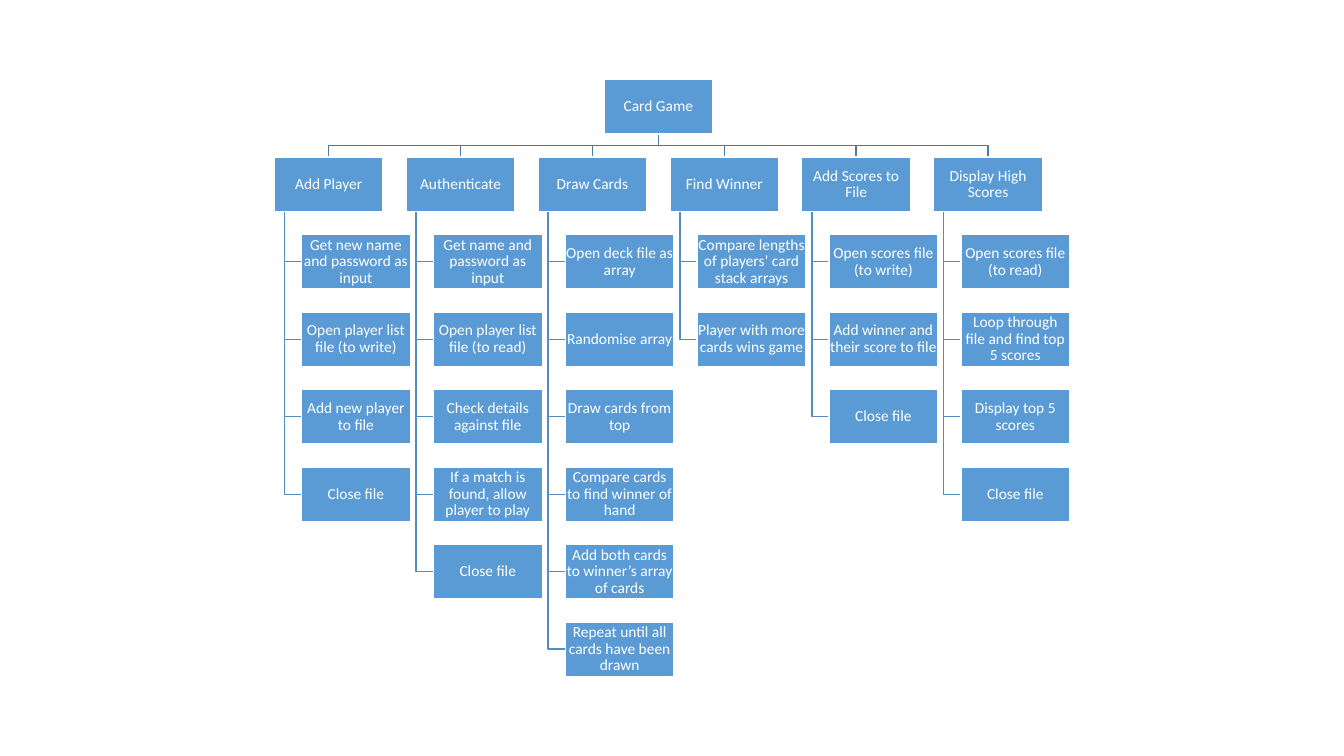
from pptx import Presentation
from pptx.dml.color import RGBColor
from pptx.enum.shapes import MSO_SHAPE
from pptx.enum.text import MSO_ANCHOR, PP_ALIGN
from pptx.util import Inches, Pt

BOX_WIDTH, BOX_HEIGHT = 1.08, 0.54
ROOT_LEFT, ROOT_TOP = 5.99, 0.79
FIRST_LEFT, LAST_LEFT = 2.72, 9.26
LAST_TOP = 6.17
STEP_INDENT, TRUNK_INDENT = 0.27, 0.1

MODULES = {
    "Add Player": [
        "Get new name and password as input",
        "Open player list file (to write)",
        "Add new player to file",
        "Close file",
    ],
    "Authenticate": [
        "Get name and password as input",
        "Open player list file (to read)",
        "Check details against file",
        "If a match is found, allow player to play",
        "Close file",
    ],
    "Draw Cards": [
        "Open deck file as array",
        "Randomise array",
        "Draw cards from top",
        "Compare cards to find winner of hand",
        "Add both cards to winner’s array of cards",
        "Repeat until all cards have been drawn",
    ],
    "Find Winner": [
        "Compare lengths of players’ card stack arrays",
        "Player with more cards wins game",
    ],
    "Add Scores to File": [
        "Open scores file (to write)",
        "Add winner and their score to file",
        "Close file",
    ],
    "Display High Scores": [
        "Open scores file (to read)",
        "Loop through file and find top 5 scores",
        "Display top 5 scores",
        "Close file",
    ],
}

column_pitch = (LAST_LEFT - FIRST_LEFT) / (len(MODULES) - 1)
row_pitch = (LAST_TOP - ROOT_TOP) / 7

FRAME_FORMAT = {
    "word_wrap": True,
    "vertical_anchor": MSO_ANCHOR.MIDDLE,
    "margin_left": Inches(0.01),
    "margin_right": Inches(0.01),
    "margin_top": Inches(0.01),
    "margin_bottom": Inches(0.01),
}
PARA_FORMAT = {"alignment": PP_ALIGN.CENTER, "line_spacing": 0.9}
FONT_FORMAT = {"name": "Calibri", "size": Pt(11)}

deck = Presentation()
deck.slide_width, deck.slide_height = Inches(13.33), Inches(7.5)
page = deck.slides.add_slide(deck.slide_layouts[6])


def add_elbow(points, color):
    """Draw an open line through points given in inches."""
    start, *others = [(Inches(x), Inches(y)) for x, y in points]
    builder = page.shapes.build_freeform(*start)
    builder.add_line_segments(others, close=False)
    elbow = builder.convert_to_shape()
    elbow.shadow.inherit = False
    elbow.fill.background()
    elbow.line.color.rgb = RGBColor.from_string(color)
    elbow.line.width = Pt(1)


def add_box(text, left, top):
    box = page.shapes.add_shape(
        MSO_SHAPE.RECTANGLE, Inches(left), Inches(top), Inches(BOX_WIDTH), Inches(BOX_HEIGHT)
    )
    box.shadow.inherit = False
    box.fill.solid()
    box.fill.fore_color.rgb = RGBColor.from_string("5B9BD5")
    box.line.color.rgb = RGBColor.from_string("FFFFFF")
    box.line.width = Pt(1)
    frame = box.text_frame
    para = frame.paragraphs[0]
    span = para.add_run()
    span.text = text
    span.font.color.rgb = RGBColor.from_string("FFFFFF")
    for target, values in ((frame, FRAME_FORMAT), (para, PARA_FORMAT), (span.font, FONT_FORMAT)):
        for name, value in values.items():
            setattr(target, name, value)


module_top = ROOT_TOP + row_pitch
module_bottom = module_top + BOX_HEIGHT
root_center = ROOT_LEFT + BOX_WIDTH / 2
root_bottom = ROOT_TOP + BOX_HEIGHT
bus_y = (root_bottom + module_top) / 2

# Connectors go behind the boxes
for column, steps in enumerate(MODULES.values()):
    left = FIRST_LEFT + column * column_pitch
    center, trunk = left + BOX_WIDTH / 2, left + TRUNK_INDENT
    add_elbow(
        [(root_center, root_bottom), (root_center, bus_y), (center, bus_y), (center, module_top)],
        "497CAB",
    )
    for row in range(1, len(steps) + 1):
        middle = module_top + row * row_pitch + BOX_HEIGHT / 2
        add_elbow([(trunk, module_bottom), (trunk, middle), (left + STEP_INDENT, middle)], "538DC1")

add_box("Card Game", ROOT_LEFT, ROOT_TOP)
for column, (module, steps) in enumerate(MODULES.items()):
    left = FIRST_LEFT + column * column_pitch
    add_box(module, left, module_top)
    for row, step in enumerate(steps, start=1):
        add_box(step, left + STEP_INDENT, module_top + row * row_pitch)

deck.save("out.pptx")
